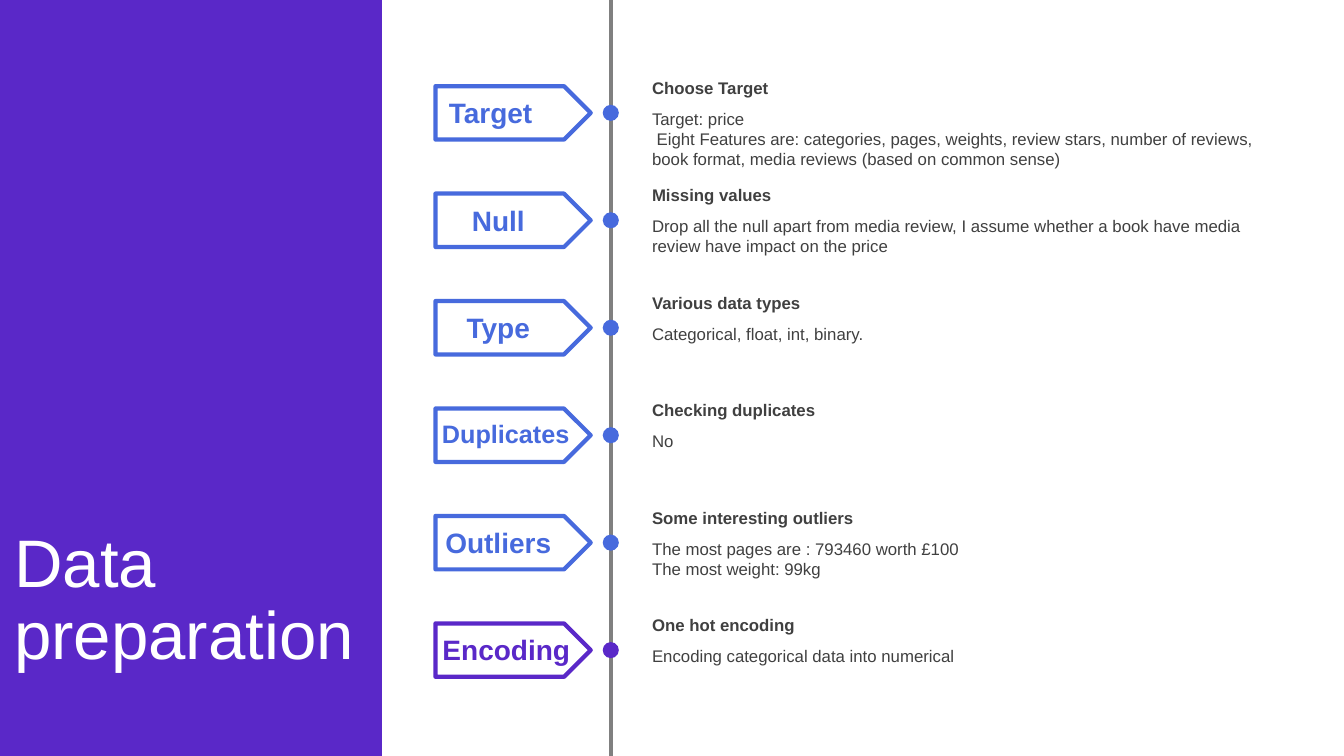
from lxml import etree
from pptx import Presentation, util as u
from pptx.dml.color import RGBColor
from pptx.enum import shapes, text
from pptx.oxml.ns import qn

VIOLET = RGBColor(0x5A, 0x28, 0xC8)
BLUE = RGBColor(0x47, 0x6A, 0xDD)
GREY = RGBColor(0x80, 0x80, 0x80)
INK = RGBColor(0x40, 0x40, 0x40)
WHITE = RGBColor(0xFF, 0xFF, 0xFF)

COLUMNS, ROWS = 40, 30
PANEL_WIDTH = 11.37
TIMELINE = 18.18
FIRST_STEP, LAST_STEP = 4.48, 25.8
DETAIL_LEFT, DETAIL_WIDTH = 19.11, 18.96

# label, label size, label centre column, colour, headline, details, lines drawn
STEPS = [
    ("Target", 20, 14.6, BLUE, "Choose Target",
     ["Target: price",
      " Eight Features are: categories, pages, weights, review stars, number of "
      "reviews, book format, media reviews (based on common sense)"], 3),
    ("Null", 20, 14.83, BLUE, "Missing values",
     ["Drop all the null apart from media review, I assume whether a book have "
      "media review have impact on the price"], 2),
    ("Type", 20, 14.83, BLUE, "Various data types",
     ["Categorical, float, int, binary."], 1),
    ("Duplicates", 18, 15.05, BLUE, "Checking duplicates", ["No"], 1),
    ("Outliers", 20, 14.83, BLUE, "Some interesting outliers",
     ["The most pages are : 793460 worth £100", "The most weight: 99kg"], 2),
    ("Encoding", 20, 15.07, VIOLET, "One hot encoding",
     ["Encoding categorical data into numerical"], 1),
]


def write(frame, paragraphs, size=12, color=INK, bold=False,
          align=text.PP_ALIGN.LEFT, anchor=text.MSO_ANCHOR.TOP,
          spacing=None, fit=text.MSO_AUTO_SIZE.SHAPE_TO_FIT_TEXT):
    """Fill a text frame, one paragraph per string, all in one format."""
    frame.word_wrap = True
    frame.auto_size = fit
    frame.vertical_anchor = anchor
    for index, words in enumerate(paragraphs):
        paragraph = frame.add_paragraph() if index else frame.paragraphs[0]
        paragraph.alignment = align
        paragraph.line_spacing = spacing
        run = paragraph.add_run()
        run.text = words
        run.font.name = "Arial"
        run.font.size = u.Pt(size)
        run.font.bold = bold
        run.font.color.rgb = color


class Board:
    """Current slide, measured in grid columns and rows."""

    def __init__(self, deck):
        self.slide = deck.slides.add_slide(deck.slide_layouts[5])
        self.column = deck.slide_width / COLUMNS
        self.row = deck.slide_height / ROWS

    def box(self, left, top, width, height):
        return (round(left * self.column), round(top * self.row),
                round(width * self.column), round(height * self.row))

    def shape(self, kind, area, fill, outline=None):
        drawn = self.slide.shapes.add_shape(kind, *self.box(*area))
        drawn.shadow.inherit = False
        drawn.fill.solid()
        drawn.fill.fore_color.rgb = fill
        if outline is None:
            drawn.line.fill.background()
        else:
            drawn.line.color.rgb = outline
            drawn.line.width = u.Pt(3)
        return drawn

    def vertical_line(self, column, color):
        x, top, _, height = self.box(column, 0, 0, ROWS)
        line = self.slide.shapes.add_connector(
            shapes.MSO_CONNECTOR.STRAIGHT, x, top, x, top + height)
        line.line.color.rgb = color
        line.line.width = u.Pt(3)
        etree.SubElement(line.element.spPr, qn("a:effectLst"))

    def words(self, area, paragraphs, **style):
        field = self.slide.shapes.add_textbox(*self.box(*area))
        write(field.text_frame, paragraphs, **style)

    def title(self, area, paragraphs, behind, **style):
        """Place the title just in front of the shape behind it."""
        heading = self.slide.shapes.title
        heading.left, heading.top, heading.width, heading.height = self.box(*area)
        write(heading.text_frame, paragraphs, **style)
        behind.element.addnext(heading.element)

    def step(self, middle, label, size, centre, color, headline, details, lines):
        self.shape(shapes.MSO_SHAPE.OVAL,
                   (TIMELINE - 0.24, middle - 0.32, 0.48, 0.64), color)
        self.shape(shapes.MSO_SHAPE.PENTAGON,
                   (12.96, middle - 1.06, 4.62, 2.12), WHITE, color)
        self.words((centre - 2.36, middle - 0.88, 4.72, 1.76), [label],
                   size=size, color=color, bold=True, align=text.PP_ALIGN.CENTER)
        self.words((DETAIL_LEFT, middle - 1.6, DETAIL_WIDTH, 1.2), [headline],
                   bold=True, anchor=text.MSO_ANCHOR.MIDDLE)
        self.words((DETAIL_LEFT, middle - 0.37, DETAIL_WIDTH, 0.4 + 0.8 * lines),
                   details)


def main():
    deck = Presentation()
    deck.slide_width, deck.slide_height = u.Inches(13.33), u.Inches(7.5)
    board = Board(deck)
    panel = board.shape(shapes.MSO_SHAPE.RECTANGLE, (0, 0, PANEL_WIDTH, ROWS), VIOLET)
    board.title((0.12, 19.96, 11.61, 7.84), ["Data", "preparation"], panel,
                size=48, color=WHITE, anchor=text.MSO_ANCHOR.MIDDLE,
                spacing=0.9, fit=text.MSO_AUTO_SIZE.NONE)
    board.vertical_line(TIMELINE, GREY)
    pitch = (LAST_STEP - FIRST_STEP) / (len(STEPS) - 1)
    for index, step in enumerate(STEPS):
        board.step(FIRST_STEP + index * pitch, *step)
    deck.save("out.pptx")


if __name__ == "__main__":
    main()
